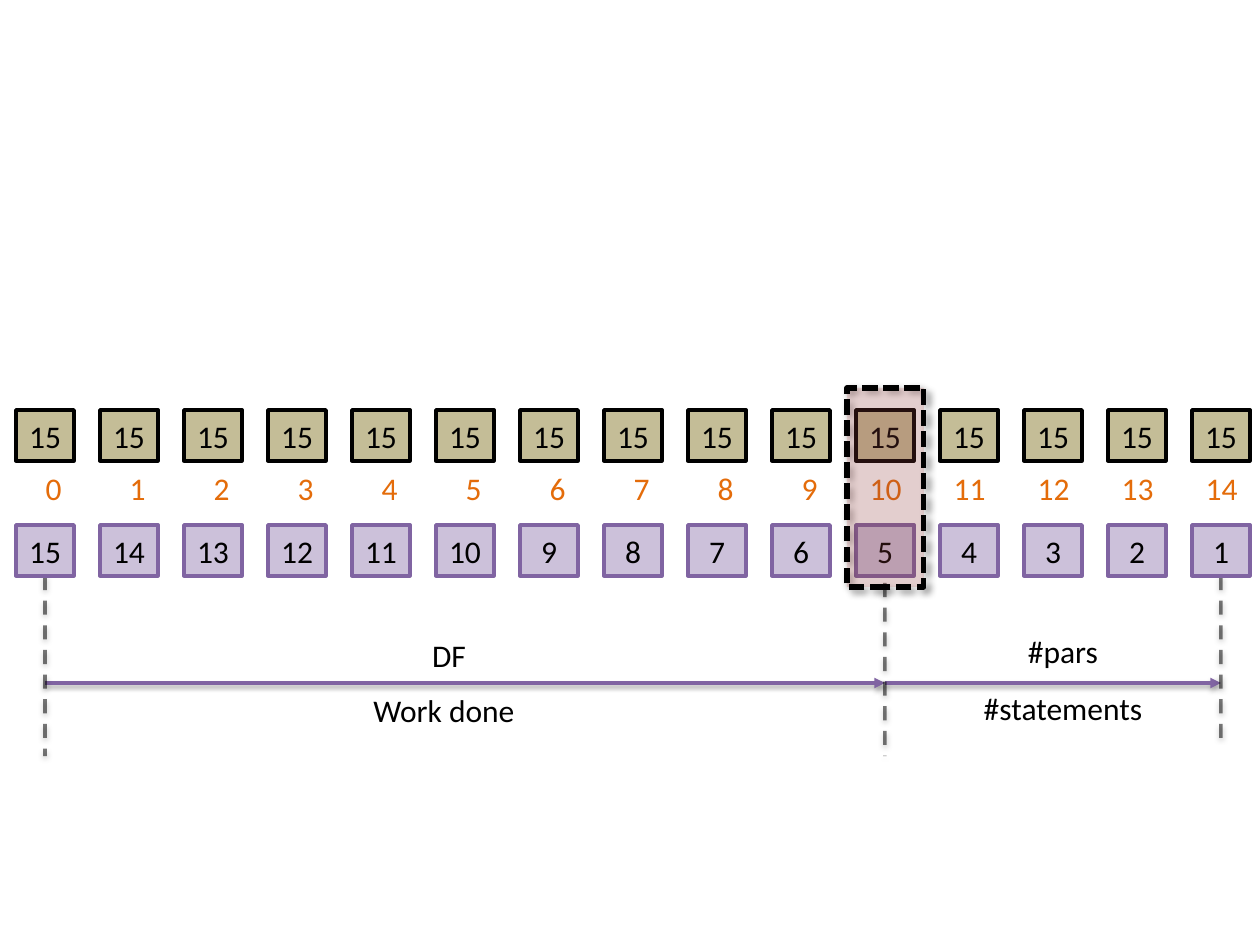
from pptx import Presentation
from pptx.dml.color import RGBColor
from pptx.enum.dml import MSO_LINE_DASH_STYLE as DASH
from pptx.enum.shapes import MSO_CONNECTOR, MSO_SHAPE
from pptx.enum.text import MSO_AUTO_SIZE, PP_ALIGN
from pptx.oxml.ns import qn
from pptx.util import Emu, Pt
from lxml.etree import SubElement

EMU_PER_PX = 914400 / 126
COLORS = {
    "black": "000000",
    "purple": "8064A2",
    "lilac": "CCC1DA",
    "tan": "C4BD97",
    "orange": "E46C0A",
    "red": "C0504D",
}
LINE_SHADOW = dict(alpha=38, blur=3.1, dist=1.6, angle=90)
FRAME_SHADOW = dict(alpha=40, blur=4, dist=3, angle=45)


def px(*values):
    return [Emu(round(v * EMU_PER_PX)) for v in values]


def rgb(name):
    return RGBColor.from_string(COLORS[name])


class Diagram:
    font = "Calibri"
    size = Pt(18)

    def __init__(self, slide):
        self.shapes = slide.shapes

    def set_text(self, sp, text, color, align):
        tf = sp.text_frame
        tf.word_wrap = True
        tf.auto_size = MSO_AUTO_SIZE.SHAPE_TO_FIT_TEXT
        p = tf.paragraphs[0]
        p.text = text
        p.alignment = align
        p.font.name, p.font.size = self.font, self.size
        p.font.color.rgb = rgb(color)

    def fade(self, sp, percent):
        first_color = next(sp.element.spPr.iter(qn("a:srgbClr")))
        SubElement(first_color, qn("a:alpha"), val=str(percent * 1000))

    def shadow(self, sp, alpha, blur, dist, angle):
        effects = SubElement(sp.element.spPr, qn("a:effectLst"))
        outer = SubElement(effects, qn("a:outerShdw"), blurRad=str(int(Pt(blur))),
                           dist=str(int(Pt(dist))), dir=str(angle * 60000), rotWithShape="0")
        color = SubElement(outer, qn("a:srgbClr"), val=COLORS["black"])
        SubElement(color, qn("a:alpha"), val=str(alpha * 1000))

    def rect(self, x, y, w, h, fill, line, width=2):
        sp = self.shapes.add_shape(MSO_SHAPE.RECTANGLE, *px(x, y, w, h))
        sp.fill.solid()
        sp.fill.fore_color.rgb = rgb(fill)
        sp.line.color.rgb = rgb(line)
        sp.line.width = Pt(width)
        return sp

    def box(self, x, y, w, h, text, fill, line):
        sp = self.rect(x, y, w, h, fill, line)
        sp.shadow.inherit = False
        self.set_text(sp, text, "black", PP_ALIGN.CENTER)

    def frame(self, x, y, w, h):
        sp = self.rect(x, y, w, h, "red", "black", 3)
        sp.line.dash_style = DASH.SQUARE_DOT
        self.fade(sp, 19)
        self.shadow(sp, **FRAME_SHADOW)

    def label(self, x, y, w, h, text, color="black", align=PP_ALIGN.CENTER):
        sp = self.shapes.add_textbox(*px(x, y, w, h))
        self.set_text(sp, text, color, align)

    def line(self, x1, y1, x2, y2, color):
        sp = self.shapes.add_connector(MSO_CONNECTOR.STRAIGHT, *px(x1, y1, x2, y2))
        sp.line.color.rgb = rgb(color)
        sp.line.width = Pt(2)
        return sp

    def arrow(self, x1, x2, y):
        sp = self.line(x1, y, x2, y, "purple")
        SubElement(sp.element.spPr.find(qn("a:ln")), qn("a:tailEnd"), type="triangle")
        self.shadow(sp, **LINE_SHADOW)

    def guide(self, x, y1, y2):
        sp = self.line(x, y1, x, y2, "black")
        sp.line.dash_style = DASH.DASH
        self.fade(sp, 52)
        self.shadow(sp, **LINE_SHADOW)


def main():
    prs = Presentation()
    prs.slide_width, prs.slide_height = px(1260, 945)
    d = Diagram(prs.slides.add_slide(prs.slide_layouts[6]))

    count, current = 15, 10
    left, pitch, cell_w, cell_h = 16, 84, 58, 51
    start, split, end = [left + i * pitch + cell_w // 2 for i in (0, current, count - 1)]

    d.arrow(start, split, 683)
    d.arrow(split, end, 683)
    for x, top, bottom in ((split, 583, 756), (start, 576, 756), (end, 576, 746)):
        d.guide(x, top, bottom)
    for x, y, text in ((310, 630, "DF"), (924, 626, "#pars"),
                       (305, 685, "Work done"), (924, 683, "#statements")):
        d.label(x, y, 278, cell_h, text)

    for i in range(count):
        x = left + i * pitch
        d.box(x, 525, cell_w, cell_h, str(count - i), "lilac", "purple")
        d.label(x, 463, cell_w, cell_h, str(i), "orange", PP_ALIGN.RIGHT)
        d.box(x, 410, cell_w, cell_h, str(count), "tan", "black")
    d.frame(847, 388, 77, 199)

    prs.save("out.pptx")


if __name__ == "__main__":
    main()
